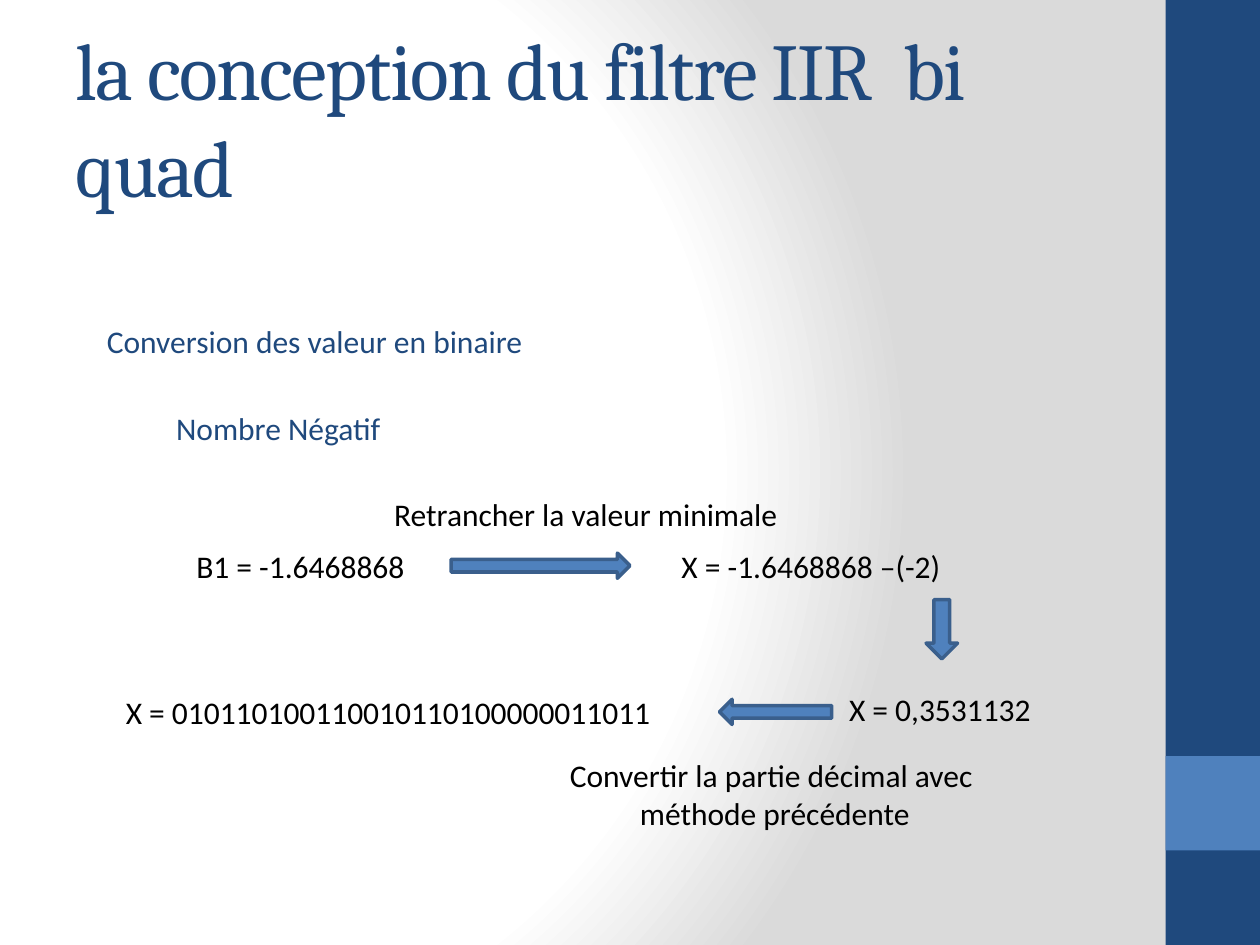
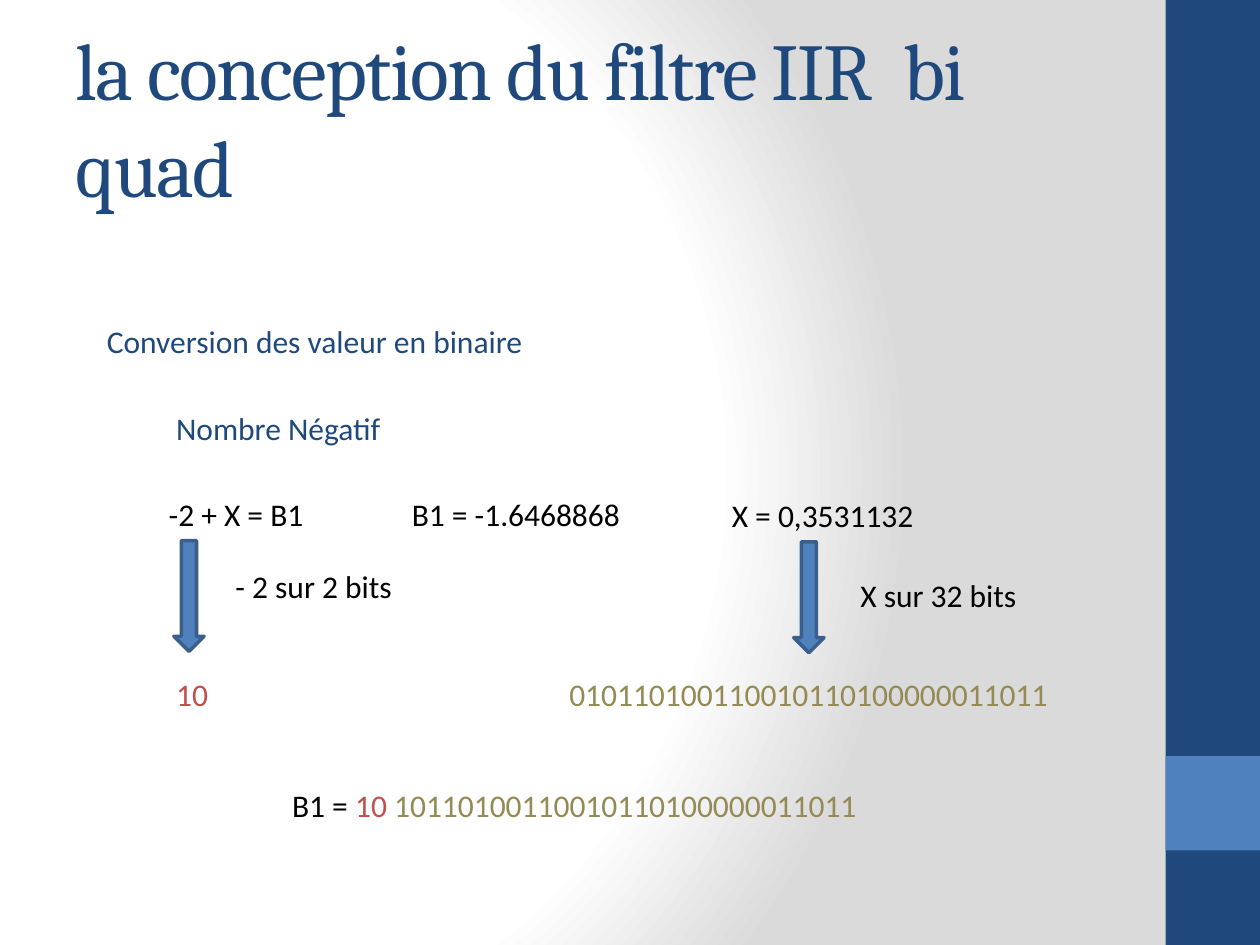
"""Build two slides on converting a negative IIR coefficient to binary."""
import pptx
import pptx.util
import pptx.dml.color
import pptx.enum.shapes
import pptx.enum.text
import pptx.oxml

RGB = pptx.dml.color.RGBColor
SHAPE = pptx.enum.shapes.MSO_SHAPE
PX = 9144
NAVY = RGB(0x1F, 0x49, 0x7D)
BLUE = RGB(0x4F, 0x81, 0xBD)
BLUE_LINE = RGB(0x3A, 0x5F, 0x8C)
BLACK = RGB(0, 0, 0)
RED = RGB(0xC0, 0x50, 0x4D)
OLIVE = RGB(0x94, 0x8A, 0x54)
TITLE = "la conception du filtre IIR  bi quad"
BITS = "010110100110010110100000011011"
BACKGROUND = """
<a:gradFill xmlns:a="http://schemas.openxmlformats.org/drawingml/2006/main" rotWithShape="1">
  <a:gsLst>
    <a:gs pos="0"><a:srgbClr val="FFFFFF"/></a:gs>
    <a:gs pos="75000"><a:srgbClr val="FFFFFF"/></a:gs>
    <a:gs pos="100000"><a:srgbClr val="DADADA"/></a:gs>
  </a:gsLst>
  <a:path path="circle"><a:fillToRect l="20000" t="50000" r="100000" b="50000"/></a:path>
</a:gradFill>"""


def add_block(s, kind, box, fill, line=None):
    sp = s.shapes.add_shape(kind, *[n * PX for n in box])
    sp.shadow.inherit = False
    sp.fill.solid()
    sp.fill.fore_color.rgb = fill
    if line is None:
        sp.line.fill.background()
    else:
        sp.line.color.rgb = line
        sp.line.width = pptx.util.Pt(2)


def add_label(s, box, paragraphs, align=None):
    sp = s.shapes.add_textbox(*[n * PX for n in box])
    tf = sp.text_frame
    tf.word_wrap = False
    tf.auto_size = pptx.enum.text.MSO_AUTO_SIZE.SHAPE_TO_FIT_TEXT
    for i, runs in enumerate(paragraphs):
        p = tf.add_paragraph() if i else tf.paragraphs[0]
        p.alignment = align
        p.font.name = "Calibri"
        p.font.size = pptx.util.Pt(18)
        for text, color in runs:
            r = p.add_run()
            r.text = text
            r.font.name = "Calibri"
            r.font.size = pptx.util.Pt(18)
            r.font.color.rgb = color


prs = pptx.Presentation()
prs.slide_width = 1000 * PX
prs.slide_height = 750 * PX

prs.slide_master.background.fill.gradient()
grad = prs.slide_master.element.xpath("p:cSld/p:bg/p:bgPr/a:gradFill")[0]
grad.getparent().replace(grad, pptx.oxml.parse_xml(BACKGROUND))

slides = [
    {
        "labels": [
            (146, 429, 187, "B1 = -1.6468868", BLACK),
            (531, 429, 228, "X = -1.6468868 –(-2)", BLACK),
            (303, 388, 340, "Retrancher la valeur minimale", BLACK),
            (664, 543, 166, "X = 0,3531132", BLACK),
            (90, 545, 453, "X = " + BITS, BLACK),
        ],
        "arrows": [
            (SHAPE.RIGHT_ARROW, (358, 439, 142, 20)),
            (SHAPE.DOWN_ARROW, (735, 476, 25, 47)),
            (SHAPE.LEFT_ARROW, (571, 555, 89, 20)),
        ],
    },
    {
        "labels": [
            (317, 388, 187, "B1 = -1.6468868", BLACK),
            (124, 388, 134, "-2 + X = B1", BLACK),
            (571, 389, 166, "X = 0,3531132", BLACK),
            (177, 445, 146, "- 2 sur 2 bits", BLACK),
            (673, 452, 146, "X sur 32 bits", BLACK),
            (130, 531, 46, "10", RED),
            (442, 531, 404, BITS, OLIVE),
        ],
        "arrows": [
            (SHAPE.DOWN_ARROW, (138, 429, 24, 88)),
            (SHAPE.DOWN_ARROW, (630, 430, 24, 88)),
        ],
    },
]
headings = [
    (75, 251, 367, "Conversion des valeur en binaire", NAVY),
    (130, 320, 184, "Nombre Négatif", NAVY),
]

for content in slides:
    s = prs.slides.add_slide(prs.slide_layouts[5])
    add_block(s, SHAPE.RECTANGLE, (925, 0, 75, 750), NAVY)
    add_block(s, SHAPE.RECTANGLE, (925, 600, 75, 75), BLUE)

    title = s.shapes.title
    title.left, title.top, title.width, title.height = [n * PX for n in (50, 30, 833, 125)]
    tf = title.text_frame
    tf.text = TITLE
    tf.word_wrap = True
    tf.auto_size = pptx.enum.text.MSO_AUTO_SIZE.NONE
    tf.vertical_anchor = pptx.enum.text.MSO_ANCHOR.MIDDLE
    p = tf.paragraphs[0]
    p.alignment = pptx.enum.text.PP_ALIGN.LEFT
    p.font.name = "Cambria"
    p.font.size = pptx.util.Pt(46)
    p.font.color.rgb = NAVY
    p.runs[0].font.name = "Cambria"
    p.runs[0]._r.get_or_add_rPr().set("spc", "-100")

    for left, top, width, text, color in headings + content["labels"]:
        add_label(s, (left, top, width, 40), [[(text, color)]])
    for kind, box in content["arrows"]:
        add_block(s, kind, box, BLUE, BLUE_LINE)

add_label(
    prs.slides[0],
    (440, 595, 350, 71),
    [[("Convertir la partie décimal avec ", BLACK)], [("méthode précédente", BLACK)]],
    pptx.enum.text.PP_ALIGN.CENTER,
)
add_label(
    prs.slides[1],
    (222, 619, 473, 40),
    [[("B1 = ", BLACK), ("10 ", RED), (BITS[1:], OLIVE)]],
)

prs.save("out.pptx")
